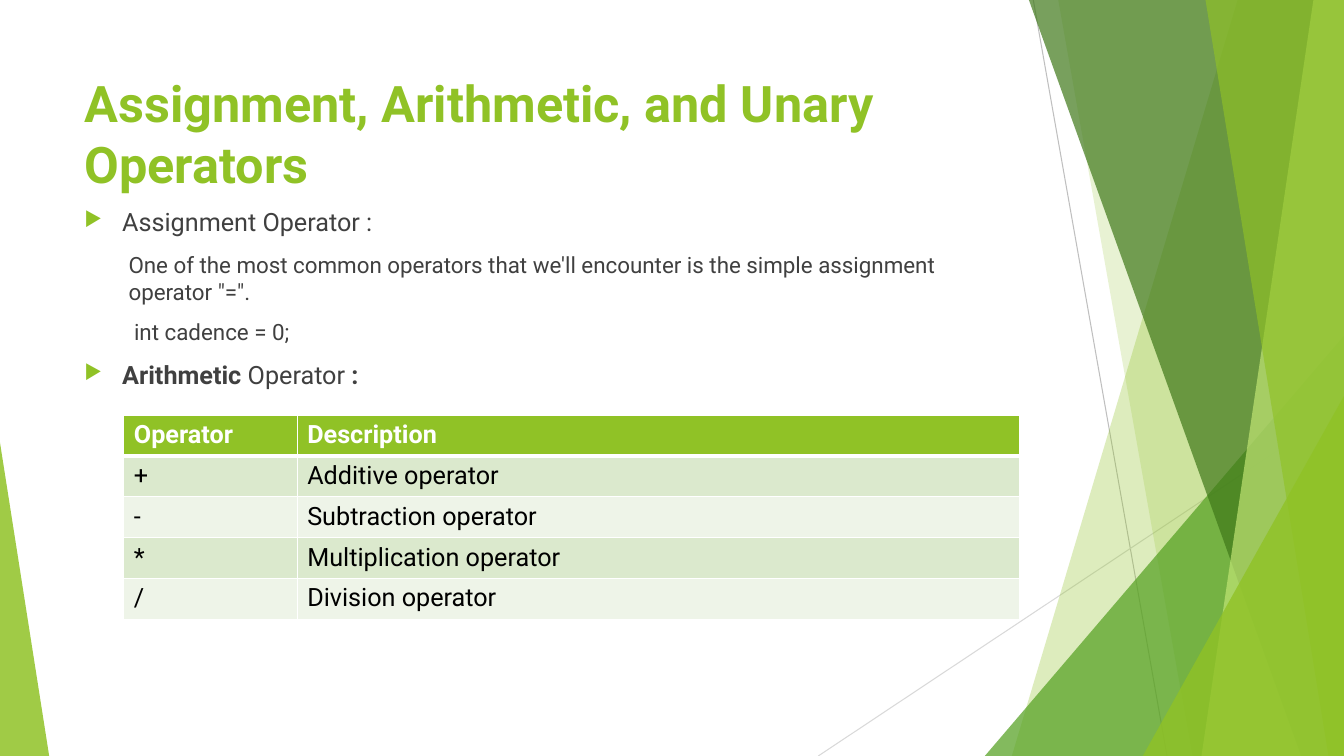
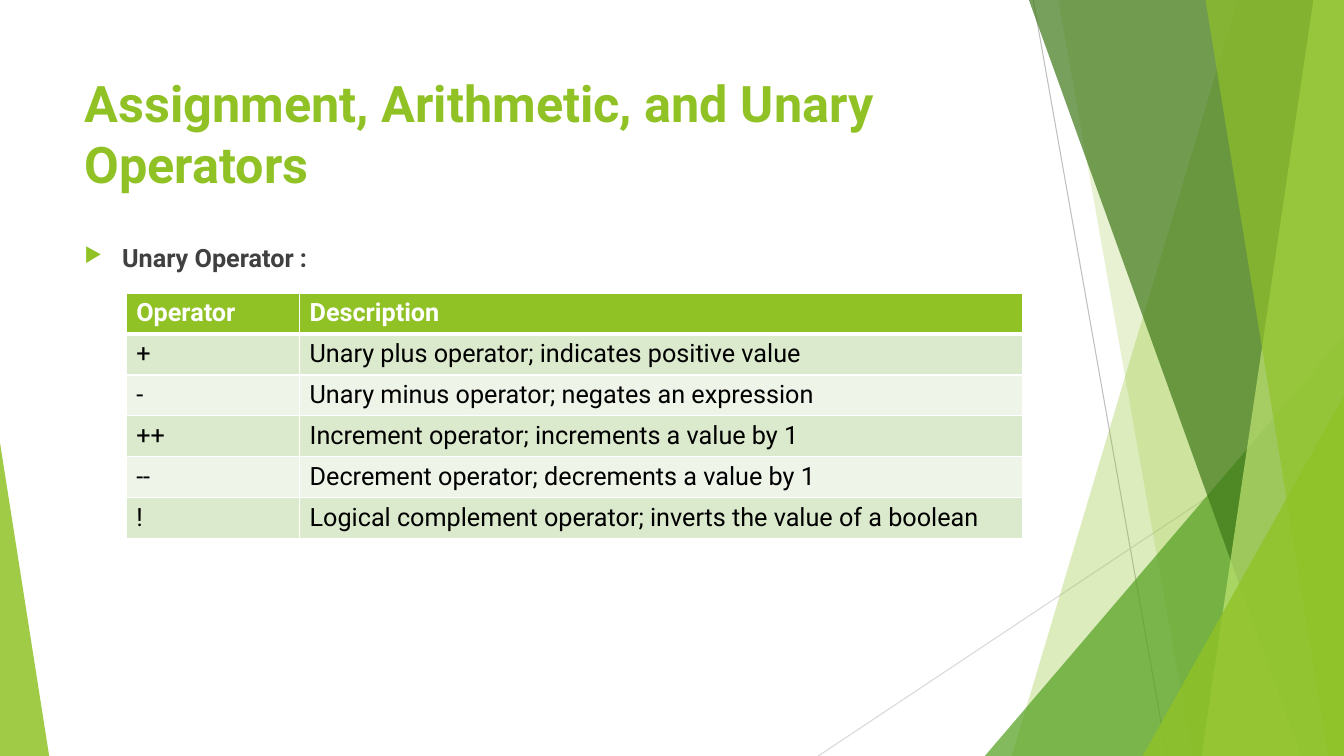
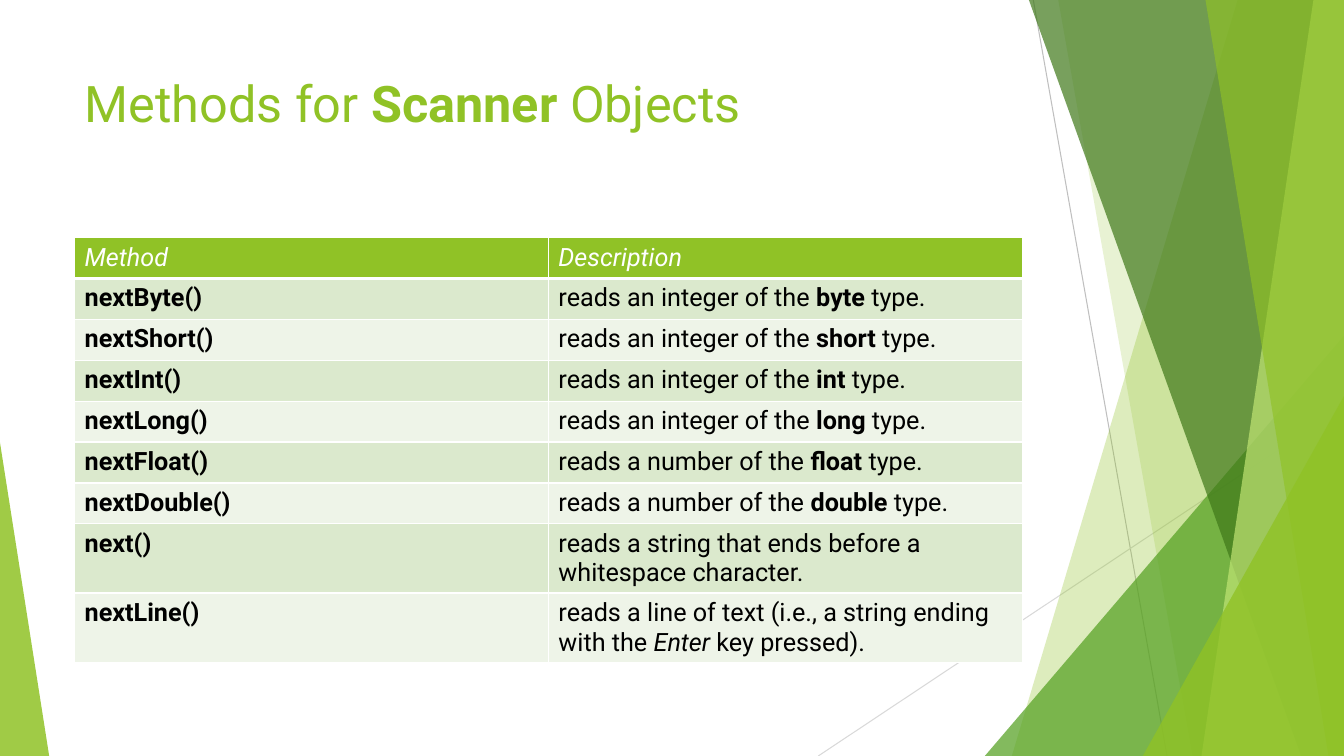
import lxml.etree
import pptx
import pptx.dml.color
import pptx.enum.shapes
import pptx.enum.text
import pptx.oxml.ns
import pptx.util

Cm = pptx.util.Cm
Pt = pptx.util.Pt
RGBColor = pptx.dml.color.RGBColor
qn = pptx.oxml.ns.qn

GREEN = RGBColor(0x90, 0xC2, 0x26)
MID_GREEN = RGBColor(0x54, 0xA0, 0x21)
DARK_GREEN = RGBColor(0x3F, 0x78, 0x19)
LIGHT_GREEN = RGBColor(0xC0, 0xE4, 0x74)
BAND_DARK = RGBColor(0xDB, 0xE9, 0xCD)
BAND_LIGHT = RGBColor(0xEE, 0xF4, 0xE8)
TEXT_GRAY = RGBColor(0x40, 0x40, 0x40)
LINE_GRAY = RGBColor(0xBF, 0xBF, 0xBF)
PALE_GRAY = RGBColor(0xD9, 0xD9, 0xD9)
WHITE = RGBColor(0xFF, 0xFF, 0xFF)
BLACK = RGBColor(0, 0, 0)

FONT = "Roboto"
WIDTH, HEIGHT = 33.87, 19.05
LEFT, CONTENT_WIDTH = 1.88, 23.88
ROW_HEIGHT = 1.03
BOLD = {"bold": True}
ITALIC = {"italic": True}
OPERATOR_COLS = (4.37, 18.21)
OPERATOR_TITLE = [("Assignment, Arithmetic, and Unary Operators", BOLD)]
OPERATOR_HEADER = ([("Operator", BOLD)], [("Description", BOLD)])


def set_attrs(obj, values):
    """Set each attribute of obj named in values."""
    for name, value in values.items():
        setattr(obj, name, value)


def add_runs(p, runs, size, color):
    """Fill a paragraph with a string or with (text, format) runs."""
    if isinstance(runs, str):
        runs = [(runs, {})]
    for text, extra in runs:
        r = p.add_run()
        r.text = text
        set_attrs(r.font, {"name": FONT, "size": Pt(size), "bold": False, "italic": False, **extra})
        r.font.color.rgb = color


def paint(sp, color, alpha):
    """Give a shape a translucent fill with no line or shadow."""
    sp.shadow.inherit = False
    sp.fill.solid()
    sp.fill.fore_color.rgb = color
    sp.line.fill.background()
    clr = sp.element.spPr.find(qn("a:solidFill")).find(qn("a:srgbClr"))
    lxml.etree.SubElement(clr, qn("a:alpha"), val=str(alpha * 1000))
    return sp


def add_hairline(s, x1, y1, x2, y2, color):
    """Draw a thin straight line."""
    cxn = s.shapes.add_connector(
        pptx.enum.shapes.MSO_CONNECTOR.STRAIGHT, Cm(x1), Cm(y1), Cm(x2), Cm(y2))
    cxn.line.color.rgb = color
    cxn.line.width = Pt(0.75)
    lxml.etree.SubElement(cxn.element.spPr, qn("a:effectLst"))
    return cxn


def add_facet(s, top_x, bottom_x, color, alpha):
    """Draw a full-height facet reaching the right edge of the slide."""
    fb = s.shapes.build_freeform(Cm(top_x), 0)
    fb.add_line_segments(
        [(Cm(WIDTH), 0), (Cm(WIDTH), Cm(HEIGHT)), (Cm(bottom_x), Cm(HEIGHT))], close=True)
    return paint(fb.convert_to_shape(), color, alpha)


def add_corner(s, x, y, width, tip, color, alpha):
    """Draw a right triangle standing on the bottom edge."""
    sp = s.shapes.add_shape(
        pptx.enum.shapes.MSO_SHAPE.ISOSCELES_TRIANGLE, Cm(x), Cm(y), Cm(width), Cm(HEIGHT - y))
    sp.adjustments[0] = tip
    return paint(sp, color, alpha)


def move_decor_to_layout(s):
    """Draw the shared facets and hand them to the layout of the slide."""
    decor = [
        add_hairline(s, 26.04, 0, 29.41, HEIGHT, LINE_GRAY),
        add_hairline(s, WIDTH, 10.24, 20.62, HEIGHT, PALE_GRAY),
        add_facet(s, 31.19, 25.5, GREEN, 30),
        add_facet(s, 26.67, 30.05, GREEN, 20),
        add_corner(s, 24.82, 8.46, WIDTH - 24.82, 1, MID_GREEN, 72),
        add_facet(s, 25.93, 32.79, DARK_GREEN, 70),
        add_facet(s, 33.1, 30.28, LIGHT_GREEN, 70),
        add_facet(s, 30.38, 33.48, GREEN, 65),
        add_corner(s, 28.8, 9.98, WIDTH - 28.8, 1, GREEN, 80),
        add_corner(s, 0, 11.15, 1.24, 0, GREEN, 85),
    ]
    tree = s.slide_layout.shapes.element
    for sp in decor:
        tree.append(sp.element)
    for number, props in enumerate(tree.iter(qn("p:cNvPr")), 1):
        props.set("id", str(number))


def add_titled_slide(prs, layout, title):
    """Add a slide and place its title."""
    s = prs.slides.add_slide(layout)
    sp = s.shapes.title
    set_attrs(sp, {"left": Cm(LEFT), "top": Cm(1.7), "width": Cm(CONTENT_WIDTH), "height": Cm(3.66)})
    tf = sp.text_frame
    set_attrs(tf, {
        "word_wrap": True,
        "auto_size": pptx.enum.text.MSO_AUTO_SIZE.NONE,
        "vertical_anchor": pptx.enum.text.MSO_ANCHOR.TOP,
    })
    p = tf.paragraphs[0]
    p.alignment = pptx.enum.text.PP_ALIGN.LEFT
    add_runs(p, title, 36, GREEN)
    return s


def indent(p, left, first):
    """Set the left margin and first-line indent of a paragraph."""
    pPr = p._p.get_or_add_pPr()
    pPr.set("marL", str(Cm(left)))
    pPr.set("indent", str(Cm(first)))
    return pPr


def add_bullet(p):
    """Give a paragraph a green arrow bullet."""
    pPr = indent(p, 0.95, -0.95)
    clr = lxml.etree.SubElement(pPr, qn("a:buClr"))
    lxml.etree.SubElement(clr, qn("a:srgbClr"), val=str(GREEN))
    lxml.etree.SubElement(pPr, qn("a:buSzPct"), val="80000")
    lxml.etree.SubElement(pPr, qn("a:buChar"), char="▶")


def add_body(s, top, height, items):
    """Add (is_bullet, runs) paragraphs below the title."""
    sp = s.shapes.add_textbox(Cm(LEFT), Cm(top), Cm(CONTENT_WIDTH), Cm(height))
    tf = sp.text_frame
    tf.word_wrap = True
    for i, (is_bullet, runs) in enumerate(items):
        p = tf.add_paragraph() if i else tf.paragraphs[0]
        p.space_before = Pt(10)
        if is_bullet:
            add_bullet(p)
        else:
            p.level = 1
            indent(p, 1.11, 0)
        add_runs(p, runs, 18 if is_bullet else 16, TEXT_GRAY)


def add_borders(cell, row):
    """Draw white cell borders, thicker under the header."""
    tcPr = cell._tc.get_or_add_tcPr()
    widths = {"L": 1, "R": 1, "T": 3 if row == 1 else 1, "B": 3 if row == 0 else 1}
    for side, width in widths.items():
        ln = lxml.etree.SubElement(tcPr, qn(f"a:ln{side}"), w=str(Pt(width)))
        fill = lxml.etree.SubElement(ln, qn("a:solidFill"))
        lxml.etree.SubElement(fill, qn("a:srgbClr"), val=str(WHITE))


def add_banded_table(s, left, top, widths, rows):
    """Add a table with a green header and banded rows."""
    table = s.shapes.add_table(
        len(rows), len(widths), Cm(left), Cm(top),
        Cm(sum(widths)), Cm(ROW_HEIGHT * len(rows))).table
    for column, width in zip(table.columns, widths):
        column.width = Cm(width)
    for i, row in enumerate(rows):
        table.rows[i].height = Cm(ROW_HEIGHT)
        band = BAND_DARK if i % 2 else BAND_LIGHT
        for j, runs in enumerate(row):
            cell = table.cell(i, j)
            add_borders(cell, i)
            cell.fill.solid()
            cell.fill.fore_color.rgb = band if i else GREEN
            add_runs(cell.text_frame.paragraphs[0], runs, 18, BLACK if i else WHITE)


def fill_arithmetic(s):
    """Fill the slide on assignment and arithmetic operators."""
    add_body(s, 5.08, 11.71, [
        (True, "Assignment Operator :"),
        (False, "One of the most common operators that we'll encounter is "
                "the simple assignment operator \"=\"."),
        (False, " int cadence = 0;"),
        (True, [("Arithmetic ", BOLD), ("Operator ", {}), (":", BOLD)]),
    ])
    add_banded_table(s, 3.12, 10.46, OPERATOR_COLS, [
        OPERATOR_HEADER,
        ("+", "Additive operator"),
        ("-", "Subtraction operator"),
        ("*", "Multiplication operator"),
        ("/", "Division operator"),
    ])


def fill_unary(s):
    """Fill the slide on unary operators."""
    add_body(s, 5.99, 9.53, [(True, [("Unary Operator :", BOLD)])])
    add_banded_table(s, 3.18, 7.39, OPERATOR_COLS, [
        OPERATOR_HEADER,
        ("+", "Unary plus operator; indicates positive value"),
        ("-", "Unary minus operator; negates an expression"),
        ("++", "Increment operator; increments a value by 1"),
        ("--", "Decrement operator; decrements a value by 1"),
        ("!", "Logical complement operator; inverts the value of a boolean"),
    ])


def fill_scanner(s):
    """Fill the slide on the methods of Scanner."""
    kinds = [(t, "an integer") for t in ("byte", "short", "int", "long")]
    kinds += [(t, "a number") for t in ("float", "double")]
    rows = [([("Method", ITALIC)], [("Description", ITALIC)])]
    for t, noun in kinds:
        rows.append((
            [(f"next{t.capitalize()}()", BOLD)],
            [(f"reads {noun} of the ", {}), (f"{t} ", BOLD), ("type.", {})],
        ))
    rows += [
        ([("next()", BOLD)], "reads a string that ends before a whitespace character."),
        ([("nextLine()", BOLD)], [
            ("reads a line of text (i.e., a string ending with the ", {}),
            ("Enter ", ITALIC), ("key pressed).", {}),
        ]),
    ]
    add_banded_table(s, LEFT, 5.99, [CONTENT_WIDTH / 2] * 2, rows)


def main():
    """Build and save the presentation."""
    prs = pptx.Presentation()
    prs.slide_width, prs.slide_height = Cm(WIDTH), Cm(HEIGHT)
    layout = prs.slide_layouts.get_by_name("Title Only")
    s = add_titled_slide(prs, layout, OPERATOR_TITLE)
    move_decor_to_layout(s)
    fill_arithmetic(s)
    fill_unary(add_titled_slide(prs, layout, OPERATOR_TITLE))
    fill_scanner(add_titled_slide(
        prs, layout, [("Methods for ", {}), ("Scanner ", BOLD), ("Objects", {})]))
    prs.save("out.pptx")


if __name__ == "__main__":
    main()
